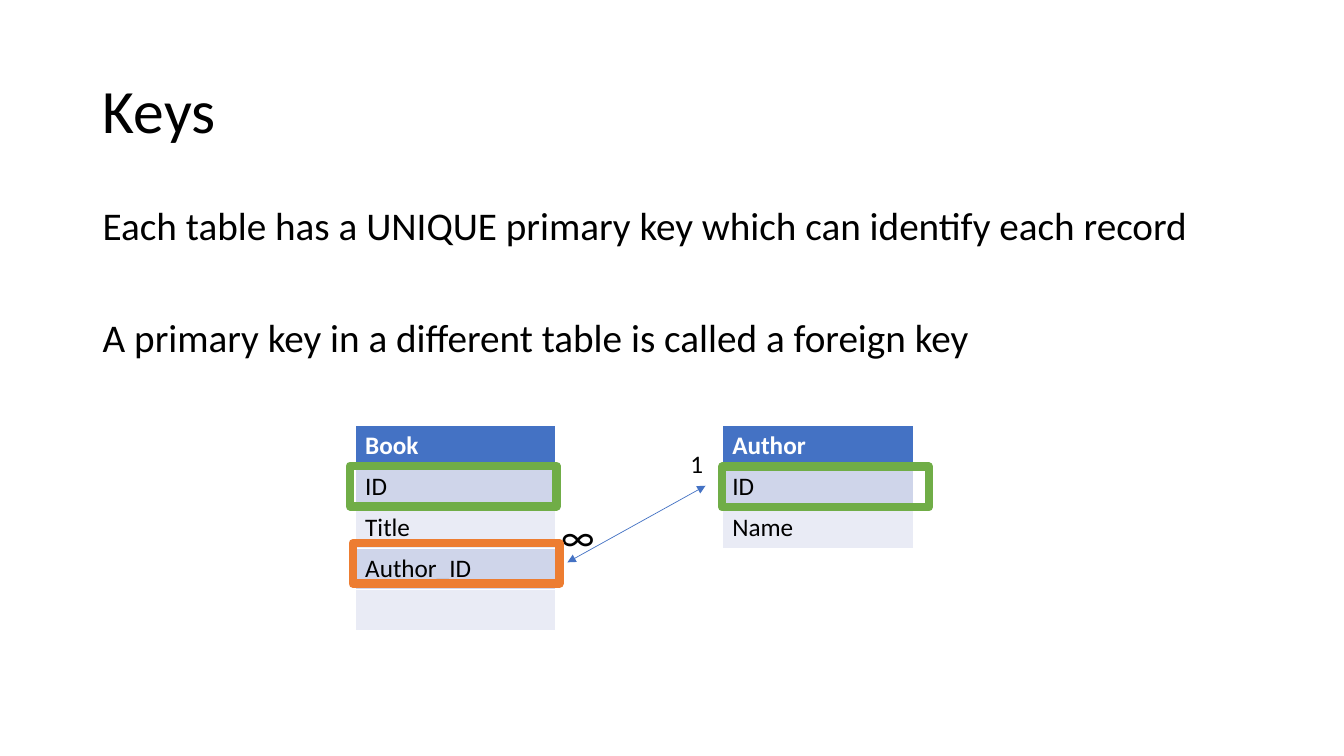
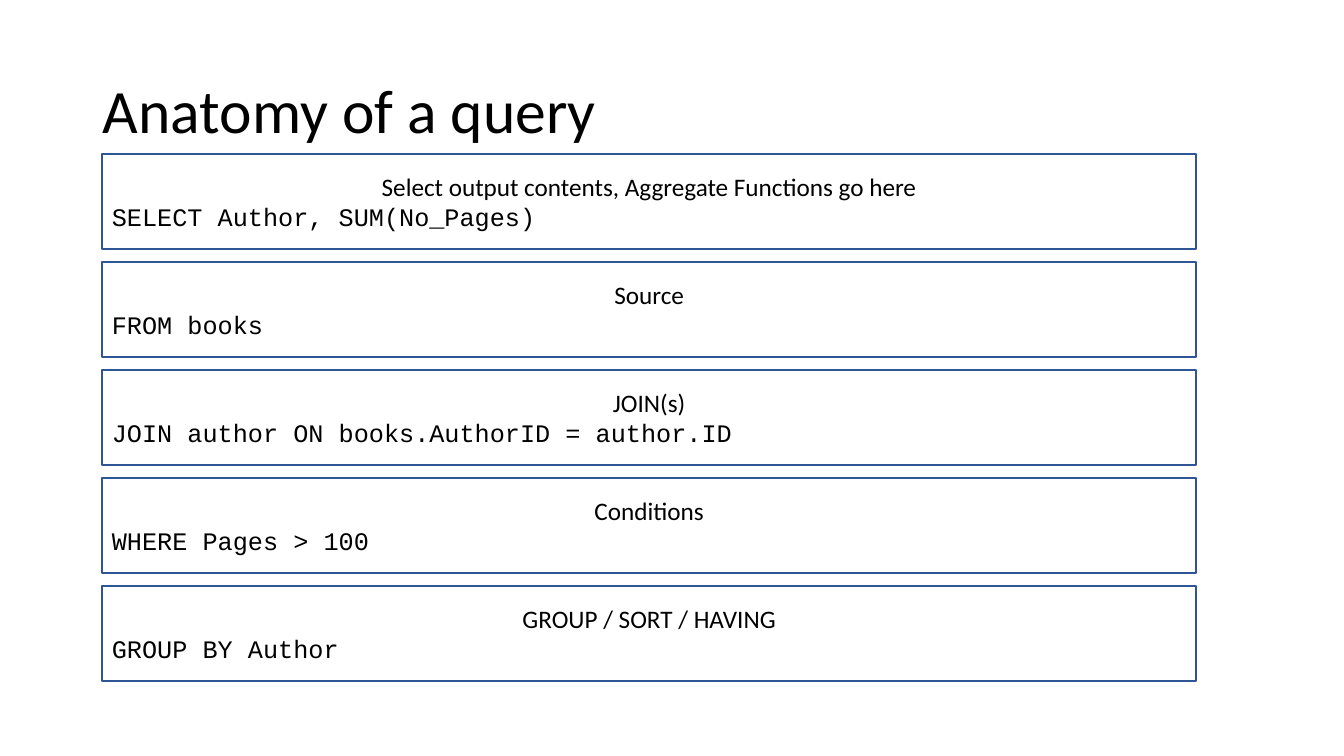
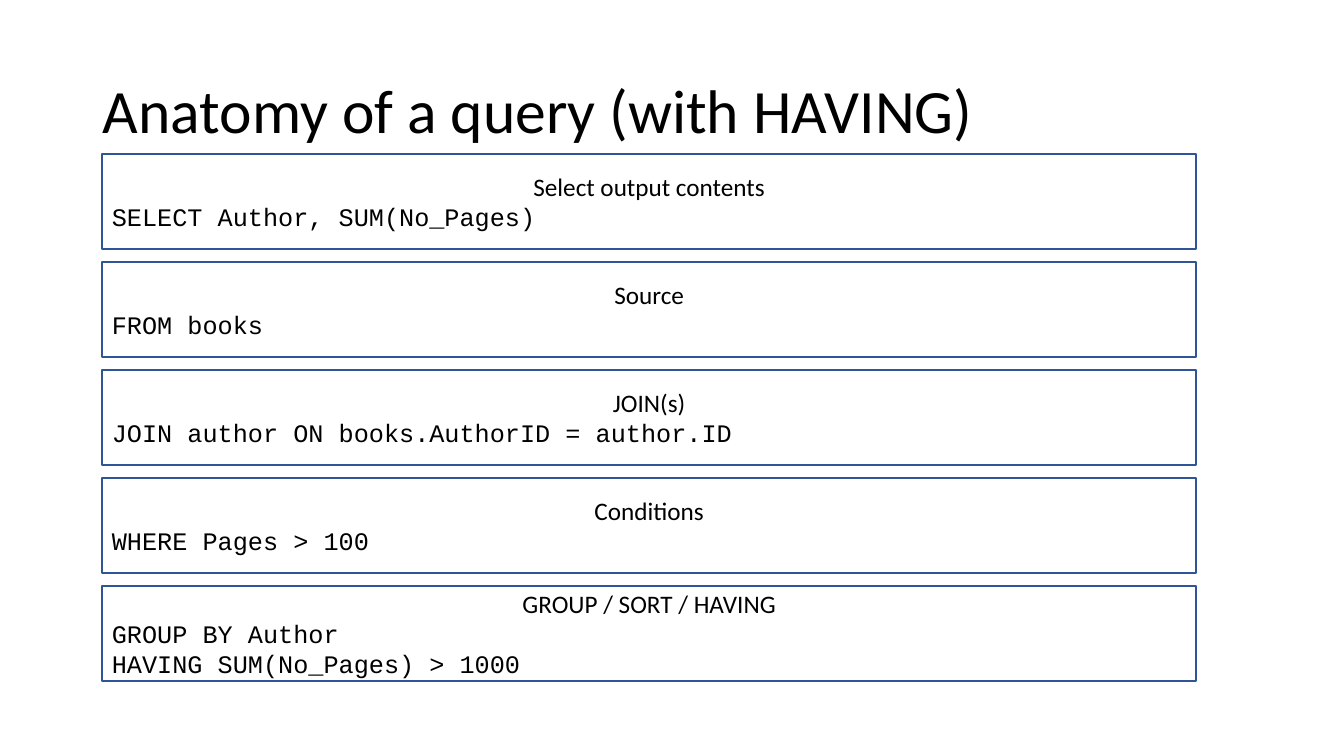
from dataclasses import dataclass

from lxml.etree import SubElement
from pptx import Presentation
from pptx.dml.color import RGBColor as RGB
from pptx.enum.shapes import MSO_CONNECTOR as CONN, MSO_SHAPE as SHAPE
from pptx.enum.text import MSO_ANCHOR as ANCHOR, MSO_AUTO_SIZE as AUTO, PP_ALIGN as ALIGN
from pptx.oxml.ns import qn
from pptx.util import Cm, Pt


@dataclass(frozen=True)
class Theme:
    text: RGB = RGB(0x00, 0x00, 0x00)
    white: RGB = RGB(0xFF, 0xFF, 0xFF)
    accent: RGB = RGB(0x44, 0x72, 0xC4)
    bands: tuple = (RGB(0xCF, 0xD5, 0xEA), RGB(0xE9, 0xEB, 0xF5))
    primary_key: RGB = RGB(0x70, 0xAD, 0x47)
    foreign_key: RGB = RGB(0xED, 0x7D, 0x31)
    step_line: RGB = RGB(0x2F, 0x55, 0x97)
    font: str = "Calibri"
    code_font: str = "Courier New"
    title_size: int = 44
    body_size: int = 28
    small_size: int = 18


T = Theme()
ROW_H = 1.03  # height of an entity table row, in cm


# Shared helpers
def box(x, y, w, h):
    return Cm(x), Cm(y), Cm(w), Cm(h)


def add_run(p, text, size, color=T.text, font=T.font, bold=False):
    r = p.add_run()
    r.text = text
    r.font.name, r.font.size, r.font.bold = font, Pt(size), bold
    r.font.color.rgb = color


def add_titled_slide(prs, title):
    slide = prs.slides.add_slide(prs.slide_layouts[5])
    sp = slide.shapes.title
    sp.left, sp.top, sp.width, sp.height = box(2.34, 1.02, 29.21, 3.68)
    tf = sp.text_frame
    tf.auto_size, tf.vertical_anchor = AUTO.NONE, ANCHOR.MIDDLE
    p = tf.paragraphs[0]
    p.alignment, p.line_spacing = ALIGN.LEFT, 0.9
    add_run(p, title, T.title_size)
    return slide


def add_text(slide, x, y, w, h, lines, size, wrap=True, gap=0):
    tf = slide.shapes.add_textbox(*box(x, y, w, h)).text_frame
    tf.word_wrap = wrap
    for i, line in enumerate(lines):
        p = tf.add_paragraph() if i else tf.paragraphs[0]
        p.line_spacing = 0.9 if wrap else 1.0
        p.space_before = Pt(gap if i else 0)
        add_run(p, line, size)


def add_outline(slide, x, y, w, h, color, weight):
    sp = slide.shapes.add_shape(SHAPE.RECTANGLE, *box(x, y, w, h))
    sp.shadow.inherit = False
    sp.fill.background()
    sp.line.color.rgb, sp.line.width = color, Pt(weight)
    return sp


# Entity tables and their links
def set_borders(cell, **weights):
    tc_pr = cell._tc.get_or_add_tcPr()
    for side in ("L", "R", "T", "B"):
        ln = SubElement(tc_pr, qn(f"a:ln{side}"), w=str(Pt(weights.get(side, 1))))
        SubElement(SubElement(ln, qn("a:solidFill")), qn("a:srgbClr"), val=str(T.white))


def add_entity(slide, x, y, w, names):
    frame = slide.shapes.add_table(len(names), 1, *box(x, y, w, ROW_H * len(names)))
    table = frame.table
    table.first_row = table.horz_banding = False
    for i, name in enumerate(names):
        cell = table.cell(i, 0)
        set_borders(cell, B=1 if i else 3, T=3 if i == 1 else 1)
        cell.fill.solid()
        cell.fill.fore_color.rgb = T.bands[(i - 1) % 2] if i else T.accent
        if name:
            color = T.text if i else T.white
            add_run(cell.text_frame.paragraphs[0], name, T.small_size, color, bold=not i)


def add_link(slide, x1, y1, x2, y2):
    cx = slide.shapes.add_connector(CONN.STRAIGHT, Cm(x1), Cm(y1), Cm(x2), Cm(y2))
    cx.line.color.rgb, cx.line.width = T.accent, Pt(0.5)
    ln = cx.line._get_or_add_ln()
    for end in ("headEnd", "tailEnd"):
        SubElement(ln, qn(f"a:{end}"), type="triangle")
    SubElement(cx._element.spPr, qn("a:effectLst"))


def add_key_diagram(slide, x, y):
    author_x = x + 9.25
    add_entity(slide, author_x, y, 4.83, ["Author", "ID", "Name"])
    add_entity(slide, x, y, 5.05, ["Book", "ID", "Title", "Author_ID", ""])
    # Many-to-one relation
    add_link(slide, x + 5.35, y + 3.44, x + 8.83, y + 1.51)
    add_text(slide, x + 4.94, y + 2.05, 1.35, 1.45, ["∞"], T.body_size, wrap=False)
    add_text(slide, x + 8.2, y + 0.45, 0.84, 1.02, ["1"], T.small_size, wrap=False)
    # Key frames
    for key_x, key_y, color in (
        (x - 0.13, y + 1.01, T.primary_key),
        (author_x, y + 1.03, T.primary_key),
        (x - 0.06, y + 2.96, T.foreign_key),
    ):
        add_outline(slide, key_x, key_y, 5.21, 1.02, color, 6)


# Query slides
def add_steps(slide, x, y, w, h, pitch, steps):
    for i, (label, *code) in enumerate(steps):
        sp = add_outline(slide, x, y + i * pitch, w, h, T.step_line, 1.5)
        tf = sp.text_frame
        tf.word_wrap, tf.vertical_anchor = True, ANCHOR.MIDDLE
        p = tf.paragraphs[0]
        p.alignment = ALIGN.CENTER
        add_run(p, label, T.small_size)
        for line in code:
            p = tf.add_paragraph()
            p.alignment = ALIGN.LEFT
            add_run(p, line, T.small_size, font=T.code_font)


def build_keys(prs):
    slide = add_titled_slide(prs, "Keys")
    add_text(slide, 2.34, 5.08, 29.21, 4.5, [
        "Each table has a UNIQUE primary key which can identify each record",
        "A primary key in a different table is called a foreign key",
    ], T.body_size, gap=50)
    add_key_diagram(slide, 8.95, 10.73)


def build_query(prs, title, select_label, *having):
    slide = add_titled_slide(prs, title)
    add_steps(slide, 2.57, 3.89, 27.58, 2.39, 2.72, [
        (select_label, "SELECT Author, SUM(No_Pages)"),
        ("Source", "FROM books"),
        ("JOIN(s)", "JOIN author ON books.AuthorID = author.ID"),
        ("Conditions", "WHERE Pages > 100"),
        ("GROUP / SORT / HAVING", "GROUP BY Author", *having),
    ])


def main():
    prs = Presentation()
    prs.slide_width, prs.slide_height = Cm(33.87), Cm(19.05)
    build_keys(prs)
    build_query(prs, "Anatomy of a query",
                "Select output contents, Aggregate Functions go here")
    build_query(prs, "Anatomy of a query (with HAVING)",
                "Select output contents", "HAVING SUM(No_Pages) > 1000")
    prs.save("out.pptx")


if __name__ == "__main__":
    main()
